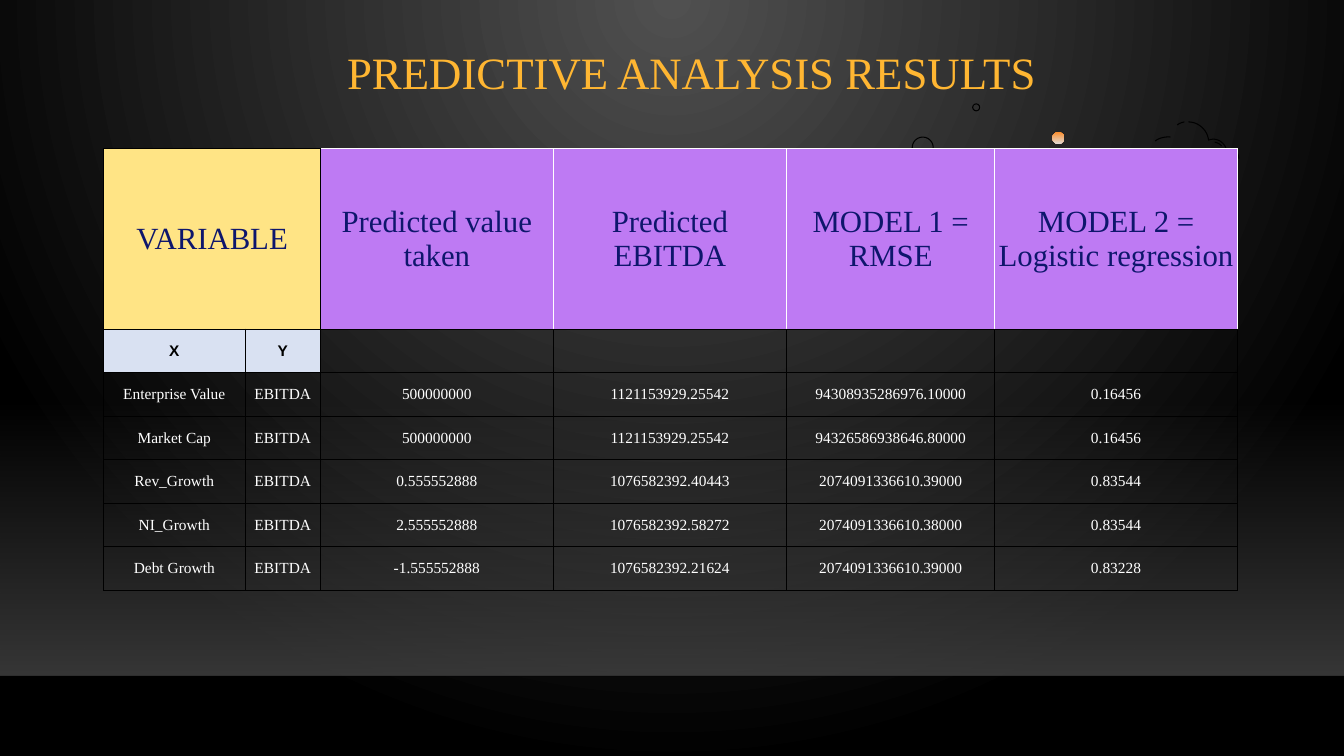
from dataclasses import dataclass

from lxml.etree import SubElement as Sub
from pptx import Presentation
from pptx.dml.color import RGBColor
from pptx.dml.fill import FillFormat
from pptx.enum.shapes import MSO_CONNECTOR as Link, MSO_SHAPE as Preset
from pptx.enum.text import MSO_ANCHOR as Anchor, MSO_AUTO_SIZE as Fit, PP_ALIGN as Align
from pptx.oxml.ns import qn
from pptx.shapes.base import BaseShape
from pptx.table import _Cell as Cell
from pptx.text.text import TextFrame
from pptx.util import Pt

BLACK = RGBColor(0x00, 0x00, 0x00)
WHITE = RGBColor(0xFF, 0xFF, 0xFF)
GREY = RGBColor(0x50, 0x50, 0x50)
BAND = RGBColor(0x45, 0x45, 0x45)
INK = RGBColor(0x00, 0x00, 0x01)
GOLD = RGBColor(0xFF, 0xB6, 0x32)
NAVY = RGBColor(0x0E, 0x16, 0x6C)
YELLOW = RGBColor(0xFF, 0xE4, 0x85)
PURPLE = RGBColor(0xBE, 0x7A, 0xF3)
PALE = RGBColor(0xD9, 0xE1, 0xF2)
ORANGE = RGBColor(0xFB, 0x8C, 0x29)
SAND = RGBColor(0xDF, 0xD9, 0xD5)
SERIF, SANS = "Times New Roman", "Arial"
WIDE, HIGH, FLOOR = 960, 540, 483

Point = tuple[float, float]


@dataclass(frozen=True)
class Face:
    name: str
    size: float
    color: RGBColor
    bold: bool = False


@dataclass(frozen=True)
class Stroke:
    """A start and its legs: one point is a line, three are a cubic curve."""
    start: Point
    legs: tuple[tuple[Point, ...], ...]


@dataclass(frozen=True)
class Ring:
    left: float
    top: float
    size: float
    solid: bool = False


TITLE = Face(SERIF, 32, GOLD)
HEAD = Face(SERIF, 22, NAVY)
AXIS = Face(SANS, 11, BLACK, True)
BODY = Face(SERIF, 11, WHITE)

CLOUD = (
    Stroke((848.9, 87.1), (((856.1, 87.1), (862.6, 92.9), (863.3, 100.1)),
                           ((869, 97.9), (874.8, 101.5), (876.2, 107.3)),
                           ((880.6, 105.1), (884.9, 108.7), (884.9, 113)),
                           ((875.5, 113),))),
    Stroke((846, 87.1), (((846, 87.1), (842.4, 87.8), (841, 89.3)),)),
    Stroke((872.6, 113), (((812.2, 113),),
                          ((812.2, 113), (812.9, 105.8), (820.1, 106.6)))),
    Stroke((867.6, 101.5), (((867.6, 101.5), (871.2, 102.2), (872.6, 104.4)),)),
    Stroke((835.9, 97.9), (((835.9, 97.9), (829.4, 97.2), (825.1, 100.8)),)),
)
RINGS = (Ring(694.8, 74.2, 5), Ring(651.6, 97.9, 15), Ring(751.7, 94.2, 8.6, True))
ARROW = ((885, 511.2), (874.1, 522), (874.1, 518.4), (860.4, 518.4),
         (860.4, 504), (874.1, 504), (874.1, 500.4))

COLS = (101, 54, 166, 167, 148.5, 173.5)
ROWS = (129,) + (31.07,) * 6
DATA = (
    ("VARIABLE", "", "Predicted value taken", "Predicted EBITDA",
     "MODEL 1 = RMSE", "MODEL 2 = Logistic regression"),
    ("X", "Y", "", "", "", ""),
    ("Enterprise Value", "EBITDA", "500000000", "1121153929.25542",
     "94308935286976.10000", "0.16456"),
    ("Market Cap", "EBITDA", "500000000", "1121153929.25542",
     "94326586938646.80000", "0.16456"),
    ("Rev_Growth", "EBITDA", "0.555552888", "1076582392.40443",
     "2074091336610.39000", "0.83544"),
    ("NI_Growth", "EBITDA", "2.555552888", "1076582392.58272",
     "2074091336610.38000", "0.83544"),
    ("Debt Growth", "EBITDA", "-1.555552888", "1076582392.21624",
     "2074091336610.39000", "0.83228"),
)


def write(frame: TextFrame, text: str, face: Face) -> None:
    para = frame.paragraphs[0]
    para.alignment = Align.CENTER
    run = para.add_run()
    run.text = text
    font = run.font
    font.name, font.size, font.bold = face.name, Pt(face.size), face.bold
    font.color.rgb = face.color


def blend(fill: FillFormat, first: RGBColor, last: RGBColor) -> None:
    """Set a two-stop gradient that runs from top to bottom."""
    fill.gradient()
    fill.gradient_angle = 270
    for stop, spot, color in zip(fill.gradient_stops, (0, 1), (first, last)):
        stop.position, stop.color.rgb = spot, color


def fade(shape: BaseShape, *levels: int) -> None:
    """Set the opacity, in percent, of each colour of a shape in turn."""
    for color, level in zip(shape.element.spPr.iter(qn("a:srgbClr")), levels):
        Sub(color, qn("a:alpha"), val=str(level * 1000))


def trace(shapes, points: list[Point], close: bool) -> BaseShape:
    spots = [(Pt(x), Pt(y)) for x, y in points]
    pen = shapes.build_freeform(*spots[0], scale=1.0)
    pen.add_line_segments(spots[1:], close=close)
    shape = pen.convert_to_shape()
    shape.shadow.inherit = False
    return shape


def outline(shape: BaseShape) -> None:
    shape.fill.background()
    shape.line.color.rgb = BLACK
    shape.line.width = Pt(0.75)


def bend(stroke: Stroke, steps: int = 12) -> list[Point]:
    """Turn a stroke into short straight pieces."""
    points = [stroke.start]
    for leg in stroke.legs:
        if len(leg) == 1:
            points.append(leg[0])
            continue
        knots = (points[-1], *leg)
        for step in range(1, steps + 1):
            t = step / steps
            u = 1 - t
            parts = (u ** 3, 3 * u * u * t, 3 * u * t * t, t ** 3)
            points.append((sum(w * k[0] for w, k in zip(parts, knots)),
                           sum(w * k[1] for w, k in zip(parts, knots))))
    return points


def edge(cell: Cell, **sides: RGBColor) -> None:
    """Draw the cell borders; must come before the cell fill."""
    props = cell._tc.get_or_add_tcPr()
    for side in "LRTB":
        line = Sub(props, qn(f"a:ln{side}"), w=str(Pt(0.5)))
        solid = Sub(line, qn("a:solidFill"))
        Sub(solid, qn("a:srgbClr"), val=str(sides.get(side, BLACK)))


def paint(cell: Cell, row: int, col: int) -> None:
    head = row == 0 and col > 1
    if head:
        edge(cell, L=WHITE if col > 2 else BLACK, R=WHITE, T=WHITE)
    else:
        edge(cell)
    shade = PURPLE if head else YELLOW if row == 0 else PALE if row == 1 and col < 2 else None
    if shade is None:
        cell.fill.background()
    else:
        cell.fill.solid()
        cell.fill.fore_color.rgb = shade
    cell.margin_left = cell.margin_right = cell.margin_top = Pt(0.7)
    cell.margin_bottom = 0
    cell.vertical_anchor = Anchor.MIDDLE
    if DATA[row][col]:
        write(cell.text_frame, DATA[row][col], (HEAD, AXIS)[row] if row < 2 else BODY)


def main() -> None:
    deck = Presentation()
    deck.slide_width, deck.slide_height = Pt(WIDE), Pt(HIGH)
    slide = deck.slides.add_slide(deck.slide_layouts[5])
    shapes = slide.shapes

    blend(slide.background.fill, GREY, BLACK)
    grad = slide.element.find(".//" + qn("a:gradFill"))
    grad.remove(grad.find(qn("a:lin")))
    glow = Sub(grad, qn("a:path"), path="circle")
    Sub(glow, qn("a:fillToRect"), l="43000", t="0", r="43000", b="100000")

    band = shapes.add_shape(Preset.RECTANGLE, 0, Pt(285.1), Pt(WIDE), Pt(197.5))
    band.shadow.inherit = False
    blend(band.fill, BAND, BAND)
    fade(band, 0, 80)
    band.line.fill.background()

    rule = shapes.add_connector(Link.STRAIGHT, 0, Pt(FLOOR), Pt(WIDE), Pt(FLOOR))
    rule.line.color.rgb, rule.line.width = INK, Pt(1)
    fade(rule, 20)
    Sub(rule.element.spPr, qn("a:effectLst"))

    for points in (ARROW, [(WIDE - x, y) for x, y in ARROW]):
        arrow = trace(shapes, points, True)
        arrow.fill.solid()
        arrow.fill.fore_color.rgb = BLACK
        arrow.line.fill.background()

    group = shapes.add_group_shape()
    for stroke in CLOUD:
        outline(trace(group.shapes, bend(stroke), False))

    for ring in RINGS:
        oval = shapes.add_shape(Preset.OVAL, Pt(ring.left), Pt(ring.top),
                                Pt(ring.size), Pt(ring.size))
        oval.shadow.inherit = False
        if ring.solid:
            blend(oval.fill, ORANGE, SAND)
            oval.line.fill.background()
        else:
            outline(oval)

    title = shapes.title
    title.left, title.top, title.width, title.height = Pt(218.2), Pt(35.3), Pt(542.2), Pt(31.7)
    frame = title.text_frame
    frame.auto_size, frame.word_wrap = Fit.NONE, True
    frame.vertical_anchor = Anchor.MIDDLE
    frame.margin_left = frame.margin_top = frame.margin_bottom = Pt(9.4)
    frame.margin_right = 0
    write(frame, "PREDICTIVE ANALYSIS RESULTS", TITLE)

    table = shapes.add_table(len(ROWS), len(COLS), Pt(74), Pt(106),
                             Pt(sum(COLS)), Pt(sum(ROWS))).table
    table.first_row = table.horz_banding = False
    for col, width in enumerate(COLS):
        table.columns[col].width = Pt(width)
    table.cell(0, 0).merge(table.cell(0, 1))
    for row, height in enumerate(ROWS):
        table.rows[row].height = Pt(height)
        for col in range(len(COLS)):
            paint(table.cell(row, col), row, col)

    deck.save("out.pptx")


if __name__ == "__main__":
    main()
